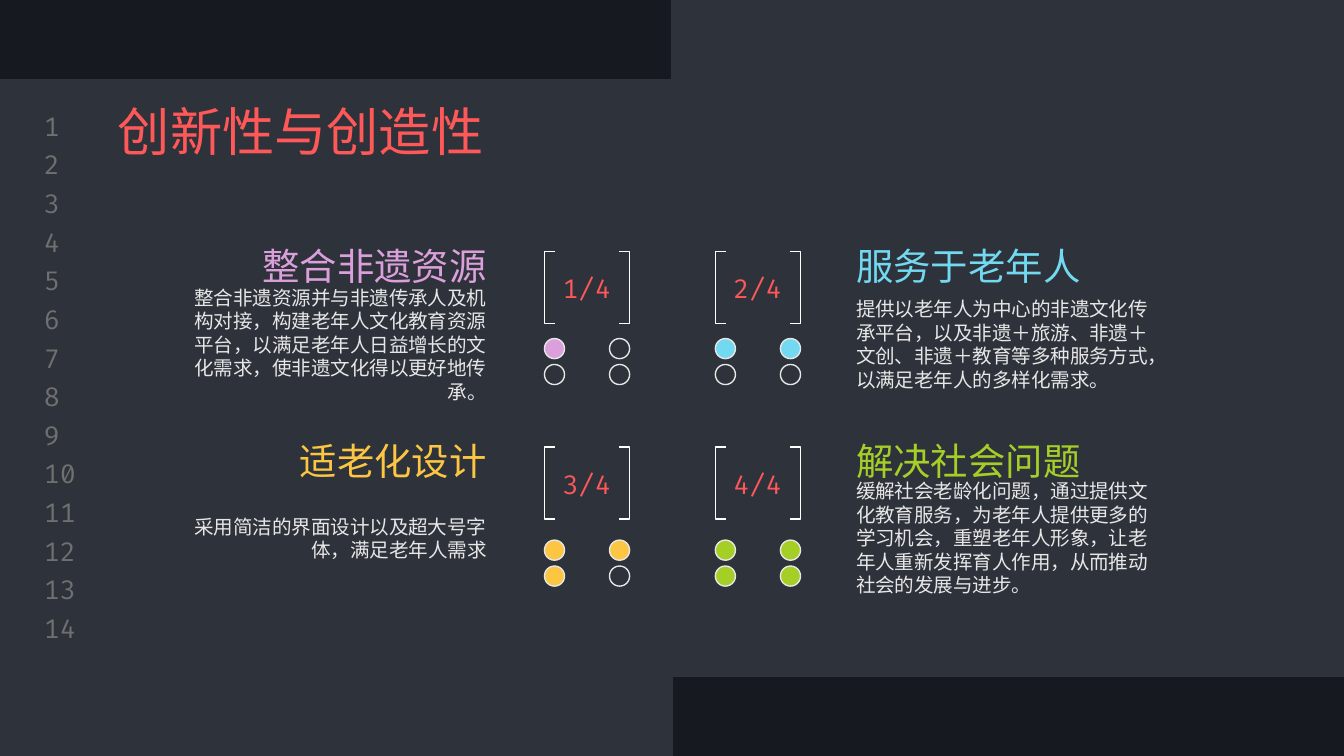
"""Build a dark four-card slide with line numbers, brackets and progress dots."""
import dataclasses

import pptx
import pptx.dml.color
import pptx.enum.shapes
import pptx.enum.text
import pptx.util

Cm = pptx.util.Cm
Kind = pptx.enum.shapes.MSO_SHAPE
Align = pptx.enum.text.PP_ALIGN
Anchor = pptx.enum.text.MSO_ANCHOR
FONT = "Fira Code"
PANEL, RED, GREY, PALE, WHITE = "2E323B", "FF5858", "707070", "E7E7E7", "FFFFFF"


@dataclasses.dataclass
class Side:
    text: float
    brace: float
    align: Align


@dataclasses.dataclass
class Row:
    head: float
    body: float
    brace: float
    dots: float


@dataclasses.dataclass
class Card:
    side: Side
    row: Row
    color: str
    head: str
    body: str


LEFT = Side(3.4, 10.29, Align.RIGHT)
RIGHT = Side(15.93, 13.52, Align.LEFT)
UPPER = Row(4.55, 5.61, 4.75, 6.4)
LOWER = Row(8.23, 9.27, 8.45, 10.21)

CARDS = [
    Card(LEFT, UPPER, "DBA0DB", "整合非遗资源",
         "整合非遗资源并与非遗传承人及机构对接，构建老年人文化教育资源平台，"
         "以满足老年人日益增长的文化需求，使非遗文化得以更好地传承。"),
    Card(RIGHT, UPPER, "72D9F0", "服务于老年人",
         "提供以老年人为中心的非遗文化传承平台，以及非遗＋旅游、非遗＋文创、"
         "非遗＋教育等多种服务方式，以满足老年人的多样化需求。"),
    Card(LEFT, LOWER, "FCC642", "适老化设计",
         "采用简洁的界面设计以及超大号字体，满足老年人需求"),
    Card(RIGHT, LOWER, "A5CF27", "解决社会问题",
         "缓解社会老龄化问题，通过提供文化教育服务，为老年人提供更多的学习机会，"
         "重塑老年人形象，让老年人重新发挥育人作用，从而推动社会的发展与进步。"),
]


def paint(color: str) -> pptx.dml.color.RGBColor:
    return pptx.dml.color.RGBColor.from_string(color)


def shape(slide, kind: Kind, x: float, y: float, w: float, h: float,
          line: str, fill: str = ""):
    item = slide.shapes.add_shape(kind, Cm(x), Cm(y), Cm(w), Cm(h))
    item.shadow.inherit = False
    if fill:
        item.fill.solid()
        item.fill.fore_color.rgb = paint(fill)
    else:
        item.fill.background()
    item.line.color.rgb = paint(line)
    item.line.width = pptx.util.Pt(0.75)
    return item


def write(slide, text: str, x: float, y: float, w: float, h: float, size: float,
          color: str, align: Align = Align.LEFT, anchor: Anchor = Anchor.MIDDLE) -> None:
    frame = slide.shapes.add_textbox(Cm(x), Cm(y), Cm(w), Cm(h)).text_frame
    frame.word_wrap = True
    frame.vertical_anchor = anchor
    frame.margin_left = frame.margin_right = Cm(0.25)
    frame.margin_top = frame.margin_bottom = Cm(0.25)
    par = frame.paragraphs[0]
    par.alignment = align
    run = par.add_run()
    run.text = text
    run.font.name = FONT
    run.font.size = pptx.util.Pt(size)
    run.font.color.rgb = paint(color)


def draw(slide, card: Card, count: int) -> None:
    side, row = card.side, card.row
    write(slide, card.body, side.text, row.body, 6.05, 1.8, 10.5, PALE, side.align)
    write(slide, card.head, side.text, row.head, 6.05, 0.94, 20, card.color, side.align)
    for kind, shift in ((Kind.LEFT_BRACKET, 0), (Kind.RIGHT_BRACKET, 1.41)):
        brace = shape(slide, kind, side.brace + shift, row.brace, 0.2, 1.36, WHITE)
        brace.adjustments[0] = 0
    write(slide, f"{count}/{len(CARDS)}", side.brace, row.brace + 0.2, 1.6, 1, 14,
          RED, Align.CENTER)
    for spot in range(len(CARDS)):
        down, over = divmod(spot, 2)
        shape(slide, Kind.OVAL, side.brace + 1.23 * over, row.dots + 0.49 * down,
              0.38, 0.38, PALE, card.color if spot < count else "")


def main() -> None:
    deck = pptx.Presentation()
    deck.slide_width, deck.slide_height = Cm(25.4), Cm(14.29)
    slide = deck.slides.add_slide(deck.slide_layouts[6])
    back = slide.background.fill
    back.solid()
    back.fore_color.rgb = paint("16191F")
    for box in ((12.7, 0, 12.7, 1.65), (0, 12.64, 12.7, 1.65), (0, 1.5, 25.4, 11.28)):
        shape(slide, Kind.RECTANGLE, *box, PANEL, PANEL)
    for step in range(14):
        write(slide, str(step + 1), 0.58, 2.08 + 0.73 * step, 1.2, 0.6, 14, GREY)
    write(slide, "创新性与创造性", 1.98, 1.63, 21.44, 1.6, 28, RED, anchor=Anchor.TOP)
    for count, card in enumerate(CARDS, 1):
        draw(slide, card, count)
    deck.save("out.pptx")


if __name__ == "__main__":
    main()
